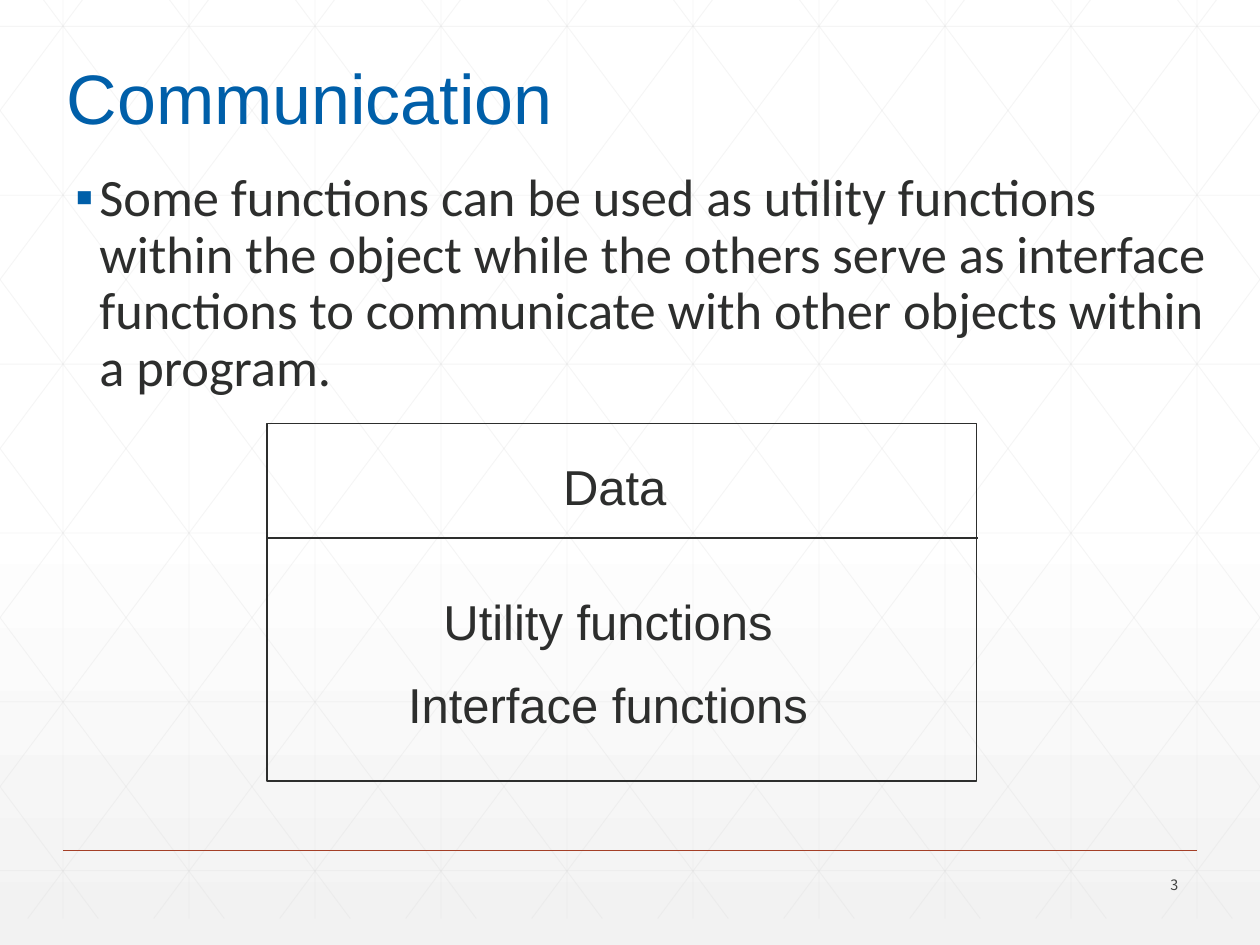
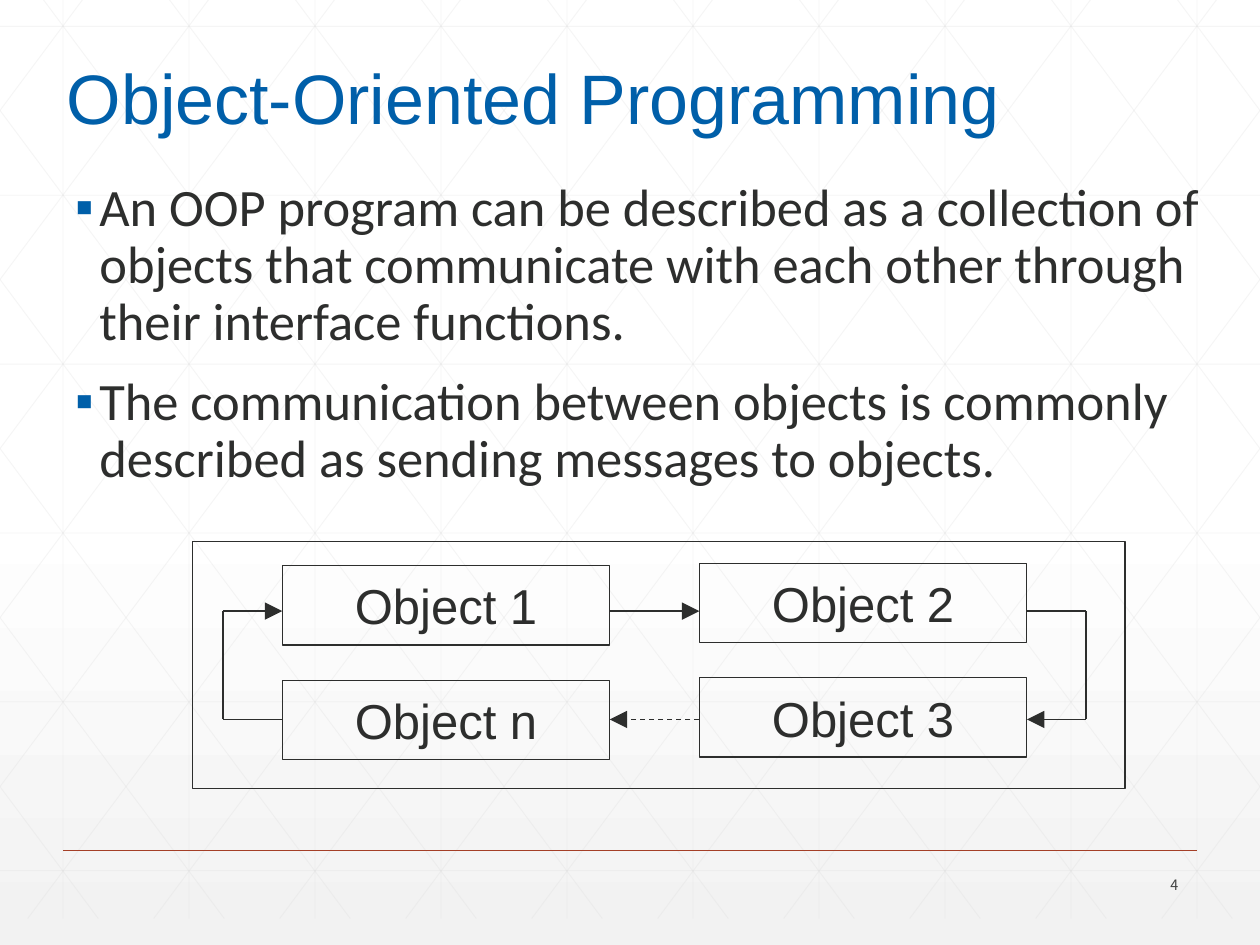
from copy import deepcopy
from dataclasses import dataclass

from lxml.etree import SubElement
from pptx import Presentation
from pptx.dml.color import RGBColor as RGB
from pptx.enum.dml import MSO_LINE as Dash
from pptx.enum.shapes import MSO_CONNECTOR as Connector, MSO_SHAPE as Preset
from pptx.enum.text import MSO_ANCHOR as Anchor, MSO_AUTO_SIZE as AutoSize, PP_ALIGN as Align
from pptx.oxml.ns import qn
from pptx.util import Inches, Pt


@dataclass(frozen=True)
class Theme:
    blue: str = "005FA9"
    ink: str = "2D2E2D"
    grey: str = "424342"
    mesh: str = "D9D9D9"
    rust: str = "A43F27"
    white: str = "FFFFFF"
    fade: str = "F2F2F2"
    # Text styles: font, size, colour
    title: tuple = ("Arial", 40, blue)
    body: tuple = ("Calibri", 30, ink)
    label: tuple = ("Arial", 28, ink)
    number: tuple = ("Noto Sans CJK TC", 8.2, grey)


theme = Theme()

# The slide is a square grid of 10 columns by 7.5 rows
COLUMNS, ROWS = 10, 7.5
prs = Presentation()
prs.slide_width, prs.slide_height = Inches(COLUMNS), Inches(ROWS)
UNIT = prs.slide_width // COLUMNS


def fill_box(shape, box, lines, style, align=Align.LEFT, anchor=Anchor.TOP, gap=0):
    """Place a shape on the grid and write its paragraphs."""
    shape.left, shape.top, shape.width, shape.height = (round(v * UNIT) for v in box)
    frame = shape.text_frame
    frame.text = "\n".join(lines)
    frame.word_wrap, frame.auto_size = True, AutoSize.NONE
    frame.vertical_anchor = anchor
    font, size, color = style
    for index, paragraph in enumerate(frame.paragraphs):
        paragraph.alignment = align
        paragraph.space_before = Pt(gap if index else 0)
        for run in paragraph.runs:
            run.font.name, run.font.size = font, Pt(size)
            run.font.color.rgb = RGB.from_string(color)
    return frame


def draw_line(slide, start, end, color=theme.ink, width=0.75, dashed=False, arrow=False, alpha=None):
    """Draw a straight line between two grid points."""
    line = slide.shapes.add_connector(
        Connector.STRAIGHT, *(round(v * UNIT) for v in (*start, *end)))
    line.line.color.rgb = RGB.from_string(color)
    line.line.width = Pt(width)
    properties = line.element.spPr
    if dashed:
        line.line.dash_style = Dash.DASH
    if arrow:
        SubElement(properties.find(qn("a:ln")), qn("a:tailEnd"), type="triangle", w="lg", len="lg")
    if alpha:
        SubElement(next(properties.iter(qn("a:srgbClr"))), qn("a:alpha"), val=str(alpha * 1000))
    SubElement(properties, qn("a:effectLst"))
    return line


# Slide content
pages = [
    ("Communication", 1.31, [
        "Some functions can be used as utility functions within the object while the others "
        "serve as interface functions to communicate with other objects within a program."]),
    ("Object-Oriented Programming", 1.39, [
        "An OOP program can be described as a collection of objects that communicate with "
        "each other through their interface functions.",
        "The communication between objects is commonly described as sending messages to objects."]),
]
layout = prs.slide_layouts[5]
communication, oop = slides = [prs.slides.add_slide(layout) for _ in pages]

# Shared background: white fading to grey
master = prs.slide_master
backdrop = master.background.fill
backdrop.gradient()
backdrop.gradient_angle = 270
for stop, position in zip(backdrop.gradient_stops, (0, 0.53)):
    stop.color.rgb = RGB.from_string(theme.white)
    stop.position = position
stops = next(master.element.iter(qn("a:gsLst")))
last_stop = deepcopy(stops[-1])
last_stop.set("pos", "100000")
last_stop[0].set("val", theme.fade)
SubElement(last_stop[0], qn("a:alpha"), val="65000")
stops.append(last_stop)

# Shared mesh: verticals, horizontals and mirrored diagonals cut at the slide's sides
TOP, BOTTOM, RUN = -0.21, 7.29, 5.59
SLOPE = (BOTTOM - TOP) / RUN
mesh = [((x + 0.5, TOP), (x + 0.5, BOTTOM)) for x in range(COLUMNS)]
mesh += [((0, 0.21 + 1.34 * row), (COLUMNS, 0.21 + 1.34 * row)) for row in range(6)]
for step in range(-5, COLUMNS):
    origin = step + 0.19
    left, right = max(origin, 0), min(origin + RUN, COLUMNS)
    high, low = (TOP + (x - origin) * SLOPE for x in (left, right))
    mesh.append(((left, high), (right, low)))
    mesh.append(((COLUMNS - left, high), (COLUMNS - right, low)))
shared = [draw_line(communication, *ends, theme.mesh, 0.5, alpha=25) for ends in mesh]
shared.append(draw_line(communication, (0.5, 6.75), (9.5, 6.75), theme.rust, 1))

# The shared lines belong to the master, under ids that are free there
for shape_id, line in enumerate(shared, start=100):
    next(line.element.iter(qn("p:cNvPr"))).set("id", str(shape_id))
    master.shapes.element.append(line.element)

# Title, bullets and number of each slide
for number, (slide, (title, body_top, bullets)) in enumerate(zip(slides, pages), start=3):
    fill_box(slide.shapes.title, (0.43, 0.38, 7.69, 0.77), [title], theme.title, anchor=Anchor.BOTTOM)
    fill_box(slide.shapes.add_textbox(0, 0, 0, 0), (8.7, 6.9, 0.75, 0.24), [str(number)],
             theme.number, Align.RIGHT, Anchor.MIDDLE)
    body = fill_box(slide.shapes.add_textbox(0, 0, 0, 0), (0.5, body_top, 9.22, 5.35),
                    bullets, theme.body, gap=13.5)
    for paragraph in body.paragraphs:
        paragraph.line_spacing = 0.9
        indent = paragraph._p.get_or_add_pPr()
        indent.set("marL", str(Inches(0.19)))
        indent.set("indent", str(-Inches(0.19)))
        SubElement(SubElement(indent, qn("a:buClr")), qn("a:srgbClr"), val=theme.blue)
        SubElement(indent, qn("a:buFont"), typeface="Arial")
        SubElement(indent, qn("a:buChar"), char="▪")

# Communication: an object made of data and functions
labels = [((3.58, 3.57, 2.6, 0.57), ["Data"]),
          ((2.64, 4.62, 4.37, 1.27), ["Utility functions", "Interface functions"])]
for box, lines in labels:
    fill_box(communication.shapes.add_textbox(0, 0, 0, 0), box, lines, theme.label,
             Align.CENTER, Anchor.MIDDLE, gap=14)
draw_line(communication, (2.12, 4.27), (7.76, 4.27))

# Frames of both diagrams and the four objects of the program
LEFT, RIGHT, WIDE, HIGH = 2.24, 5.55, 2.6, 0.63
boxes = [(communication, (2.12, 3.36, 5.63, 2.84), []),
         (oop, (1.53, 4.3, 7.4, 1.96), []),
         (oop, (LEFT, 4.49, WIDE, HIGH), ["Object 1"]),
         (oop, (RIGHT, 4.47, WIDE, HIGH), ["Object 2"]),
         (oop, (RIGHT, 5.38, WIDE, HIGH), ["Object 3"]),
         (oop, (LEFT, 5.4, WIDE, HIGH), ["Object n"])]
for slide, box, lines in boxes:
    outline = slide.shapes.add_shape(Preset.RECTANGLE, 0, 0, 0, 0)
    outline.shadow.inherit = False
    outline.fill.background()
    outline.line.color.rgb = RGB.from_string(theme.ink)
    outline.line.width = Pt(0.75)
    fill_box(outline, box, lines, theme.label, Align.CENTER, Anchor.MIDDLE)

# Messages run clockwise from object to object
UPPER, LOWER = 4.85, 5.71
WEST, EAST = 1.77, 8.62
messages = [
    ((LEFT + WIDE, UPPER), (RIGHT, UPPER), False, True),
    ((RIGHT + WIDE, UPPER), (EAST, UPPER), False, False),
    ((EAST, UPPER), (EAST, LOWER), False, False),
    ((EAST, LOWER), (RIGHT + WIDE, LOWER), False, True),
    ((RIGHT, LOWER), (LEFT + WIDE, LOWER), True, True),
    ((LEFT, LOWER), (WEST, LOWER), False, False),
    ((WEST, LOWER), (WEST, UPPER), False, False),
    ((WEST, UPPER), (LEFT, UPPER), False, True),
]
for start, end, dashed, arrow in messages:
    draw_line(oop, start, end, dashed=dashed, arrow=arrow)

prs.save("out.pptx")
